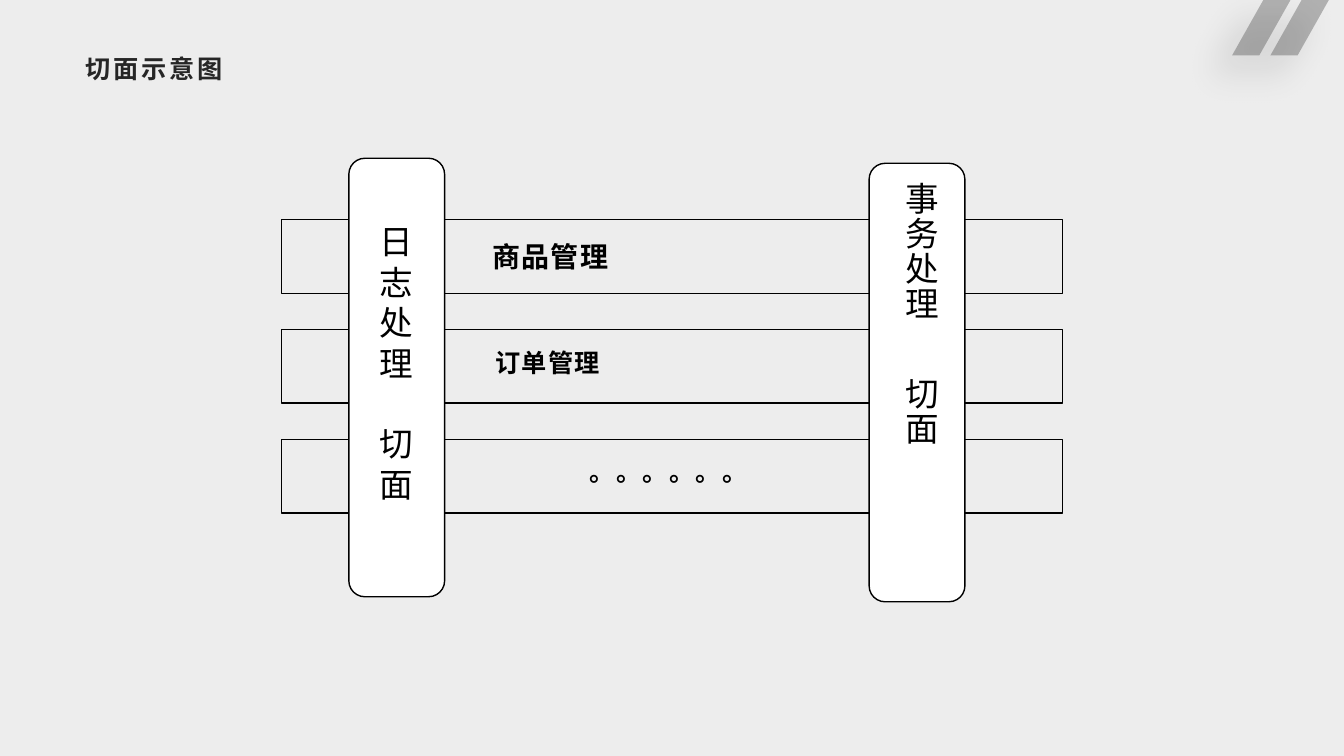
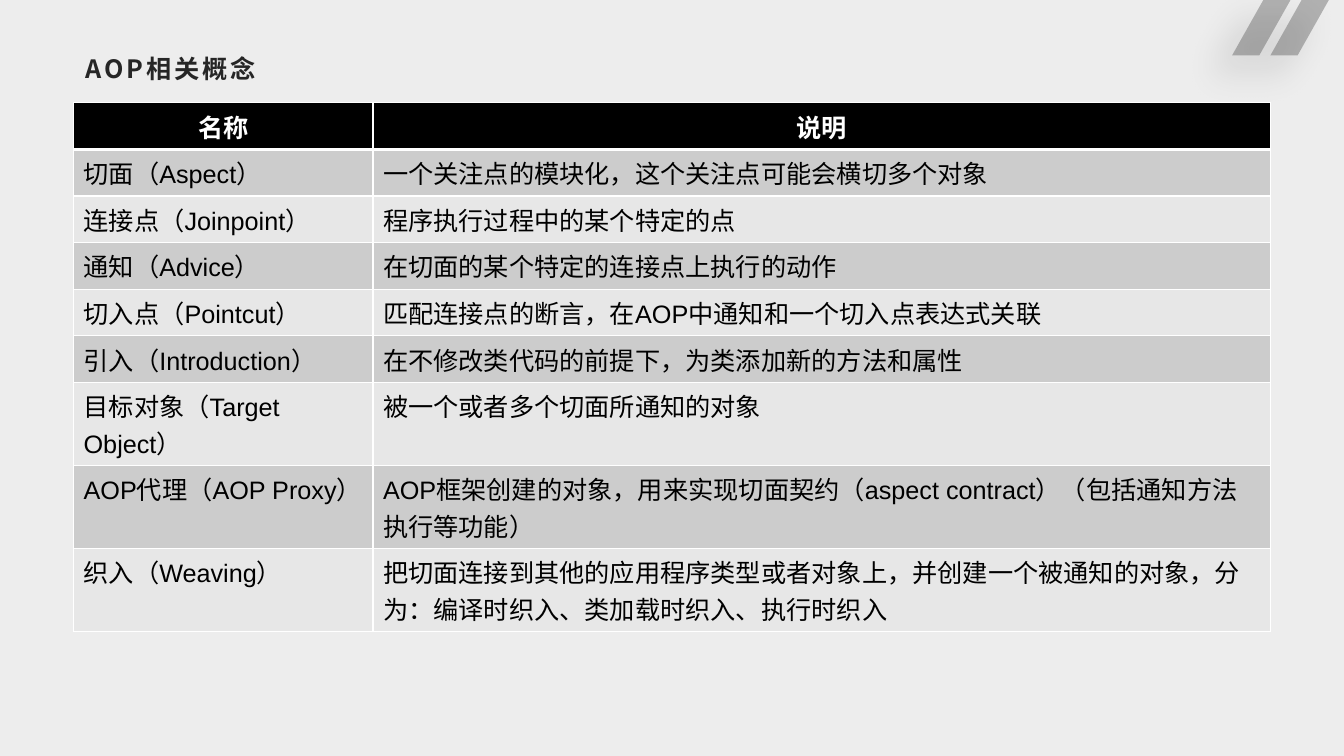
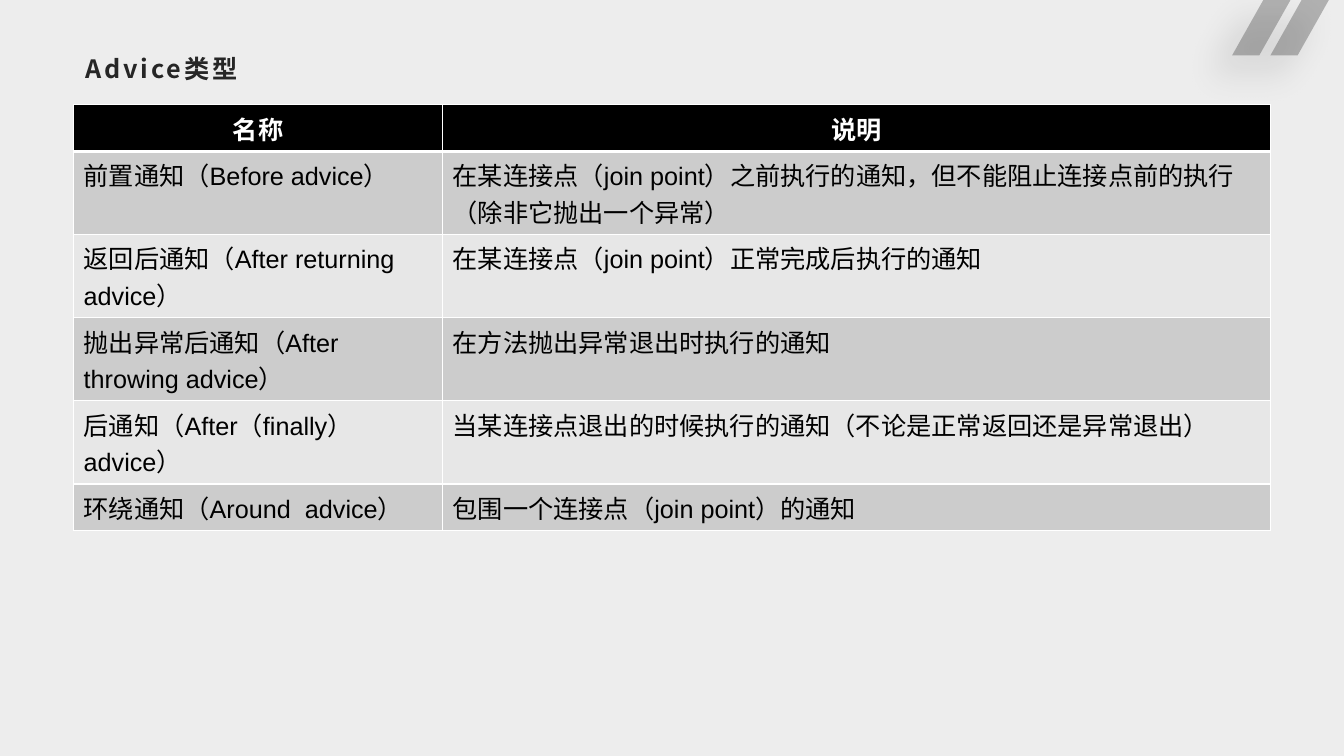
from lxml import etree
from pptx import Presentation
from pptx.dml.color import RGBColor
from pptx.enum.shapes import MSO_SHAPE
from pptx.enum.text import MSO_ANCHOR, PP_ALIGN
from pptx.oxml.ns import qn
from pptx.util import Inches, Pt

RECT, ROUND = MSO_SHAPE.RECTANGLE, MSO_SHAPE.ROUNDED_RECTANGLE
TOP, MIDDLE = MSO_ANCHOR.TOP, MSO_ANCHOR.MIDDLE
LEFT, CENTER = PP_ALIGN.LEFT, PP_ALIGN.CENTER
BLACK, WHITE, INK, PAPER = "000000", "FFFFFF", "262626", "EDEDED"
BANDS = ("CCCCCC", "E7E7E7")
LATIN, CJK = "Arial", "Noto Sans CJK SC"
MARGIN, CONTENT_W = 0.73, 11.87
LINE_PT, CELL_PAD_PT = 26.1, 7.2

CONCEPTS = [
    (1, "名称", "说明"),
    (1, "切面（Aspect）", "一个关注点的模块化，这个关注点可能会横切多个对象"),
    (1, "连接点（Joinpoint）", "程序执行过程中的某个特定的点"),
    (1, "通知（Advice）", "在切面的某个特定的连接点上执行的动作"),
    (1, "切入点（Pointcut）", "匹配连接点的断言，在AOP中通知和一个切入点表达式关联"),
    (1, "引入（Introduction）", "在不修改类代码的前提下，为类添加新的方法和属性"),
    (2, "目标对象（Target Object）", "被一个或者多个切面所通知的对象"),
    (2, "AOP代理（AOP Proxy）",
     "AOP框架创建的对象，用来实现切面契约（aspect contract）（包括通知方法执行等功能）"),
    (2, "织入（Weaving）",
     "把切面连接到其他的应用程序类型或者对象上，并创建一个被通知的对象，"
     "分为：编译时织入、类加载时织入、执行时织入"),
]
ADVICE = [
    (1, "名称", "说明"),
    (2, "前置通知（Before advice）",
     "在某连接点（join point）之前执行的通知，但不能阻止连接点前的执行（除非它抛出一个异常）"),
    (2, "返回后通知（After returning advice）", "在某连接点（join point）正常完成后执行的通知"),
    (2, "抛出异常后通知（After throwing advice）", "在方法抛出异常退出时执行的通知"),
    (2, "后通知（After（finally） advice）",
     "当某连接点退出的时候执行的通知（不论是正常返回还是异常退出）"),
    (1, "环绕通知（Around  advice）", "包围一个连接点（join point）的通知"),
]


def rgb(value):
    """Turn a hex string into a colour."""
    return RGBColor.from_string(value)


def add_run(p, text, size=18, color=BLACK, bold=False, font=LATIN, spacing=0):
    """Add one formatted run to a paragraph."""
    r = p.add_run()
    r.text = text
    r.font.size, r.font.bold, r.font.name = Pt(size), bold, font
    r.font.color.rgb = rgb(color)
    rPr = r._r.get_or_add_rPr()
    rPr.set("lang", "zh-CN")
    rPr.set("spc", str(round(spacing * 100)))
    etree.SubElement(rPr, qn("a:ea")).set("typeface", CJK)


def set_frame(tf, insets, anchor=TOP):
    """Set wrapping, insets (left, top, right, bottom) and anchor."""
    tf.word_wrap = True
    tf.vertical_anchor = anchor
    tf.margin_left, tf.margin_top, tf.margin_right, tf.margin_bottom = map(Inches, insets)


def add_box(s, kind, box, fill=None):
    """Draw a black-outlined shape, optionally filled."""
    sp = s.shapes.add_shape(kind, *map(Inches, box))
    sp.shadow.inherit = False
    if fill:
        sp.fill.solid()
        sp.fill.fore_color.rgb = rgb(fill)
    else:
        sp.fill.background()
    sp.line.color.rgb = rgb(BLACK)
    sp.line.width = Pt(1)
    return sp


def add_stripes(s, x, width, height):
    """Draw the two translucent slanted stripes, in hundredths of an inch, with a soft shadow."""
    step, stripe, slant = 38, 27, 31
    left = x + width - step - stripe - slant
    first, second = [[(a + slant, 0), (a + slant + stripe, 0), (a + stripe, height), (a, height)]
                     for a in (left + step, left)]
    fb = s.shapes.build_freeform(*first[0], scale=Inches(0.01))
    fb.add_line_segments(first[1:], close=True)
    fb.move_to(*second[0])
    fb.add_line_segments(second[1:], close=True)
    sp = fb.convert_to_shape()
    sp.shadow.inherit = False
    sp.line.fill.background()
    sp.fill.solid()
    sp.fill.fore_color.rgb = rgb(INK)
    spPr = sp._element.spPr
    color = spPr.find(qn("a:solidFill")).find(qn("a:srgbClr"))
    etree.SubElement(color, qn("a:alpha")).set("val", "30000")
    shadow = etree.SubElement(spPr.find(qn("a:effectLst")), qn("a:outerShdw"),
                              blurRad=str(Pt(26)), dist=str(Pt(19)), dir="8100000",
                              algn="tr", rotWithShape="0")
    tint = etree.SubElement(shadow, qn("a:srgbClr"), val=BLACK)
    etree.SubElement(tint, qn("a:alpha")).set("val", "40000")


def add_page(prs, title):
    """Add a blank slide with the shared stripes and title."""
    s = prs.slides.add_slide(prs.slide_layouts[6])
    add_stripes(s, 1222, 96, 55)
    sp = s.shapes.add_textbox(*map(Inches, (MARGIN, 0.48, CONTENT_W, 0.48)))
    set_frame(sp.text_frame, (0.12, 0.05, 0.08, 0.04))
    add_run(sp.text_frame.paragraphs[0], title, color=INK, bold=True, font=CJK, spacing=2)
    return s


def add_module(s, box, label, size, align, indent, lift):
    """Draw a horizontal module bar with its label between the columns."""
    sp = add_box(s, RECT, box)
    set_frame(sp.text_frame, (indent, 0.05, 2.16, 0.05 + 2 * lift), MIDDLE)
    p = sp.text_frame.paragraphs[0]
    p.alignment = align
    add_run(p, label, size, bold=True, spacing=1)


def add_aspect(s, box, name, insets, spacing, gap):
    """Draw an aspect column with its name written downwards."""
    sp = add_box(s, ROUND, box, WHITE)
    set_frame(sp.text_frame, insets, MIDDLE)
    sp.text_frame._txBody.bodyPr.set("vert", "eaVert")
    p = sp.text_frame.paragraphs[0]
    p.alignment = LEFT
    for text, spc in ((name, spacing), (" ", gap), ("切面", spacing)):
        add_run(p, text, 24, font=CJK, spacing=spc)


def add_diagram(s, x, y, width):
    """Draw module bars crossed by two aspect columns."""
    modules = [("商品管理", 20, LEFT, 2.09, 0), ("订单管理", 18, LEFT, 2.12, 0.04),
               ("。。。。。。", 18, CENTER, 2.09, 0.05)]
    for i, module in enumerate(modules):
        add_module(s, (x, y + i * 1.09, width, 0.73), *module)
    add_aspect(s, (x + 0.67, y - 0.61, 0.95, 4.35), "日志处理", (0.05, 0.62, 0.09, 0.05), 4.9, 23)
    add_aspect(s, (x + 5.83, y - 0.56, 0.95, 4.35), "事务处理", (0.13, 0.14, 0.05, 0.05), 1, 33.5)


def set_borders(cell, top=1, bottom=1):
    """Give a cell white borders of the given widths."""
    tcPr = cell._tc.get_or_add_tcPr()
    for side, width in (("L", 1), ("R", 1), ("T", top), ("B", bottom)):
        ln = etree.SubElement(tcPr, qn("a:ln" + side), w=str(Pt(width)))
        fill = etree.SubElement(ln, qn("a:solidFill"))
        etree.SubElement(fill, qn("a:srgbClr"), val=WHITE)


def add_glossary(s, y, name_width, rows):
    """Draw a banded two-column table below a black header."""
    heights = [Pt(CELL_PAD_PT + LINE_PT * lines) for lines, *_ in rows]
    table = s.shapes.add_table(len(rows), 2, Inches(MARGIN), Inches(y),
                               Inches(CONTENT_W), sum(heights)).table
    for column, width in zip(table.columns, (name_width, CONTENT_W - name_width)):
        column.width = Inches(width)
    for i, (_, *texts) in enumerate(rows):
        table.rows[i].height = heights[i]
        header = i == 0
        for j, text in enumerate(texts):
            cell = table.cell(i, j)
            set_borders(cell, top=3 if i == 1 else 1, bottom=3 if header else 1)
            cell.fill.solid()
            cell.fill.fore_color.rgb = rgb(BLACK if header else BANDS[(i - 1) % 2])
            p = cell.text_frame.paragraphs[0]
            p.alignment = CENTER if header else LEFT
            add_run(p, text, color=WHITE if header else BLACK, bold=header)


def main():
    """Build the deck and save it."""
    prs = Presentation()
    prs.slide_width, prs.slide_height = Inches(13.33), Inches(7.5)
    background = prs.slide_master.background.fill
    background.solid()
    background.fore_color.rgb = rgb(PAPER)
    add_diagram(add_page(prs, "切面示意图"), 2.79, 2.18, 7.75)
    add_glossary(add_page(prs, "AOP相关概念"), 1.02, 2.97, CONCEPTS)
    add_glossary(add_page(prs, "Advice类型"), 1.04, 3.66, ADVICE)
    prs.save("out.pptx")


if __name__ == "__main__":
    main()
